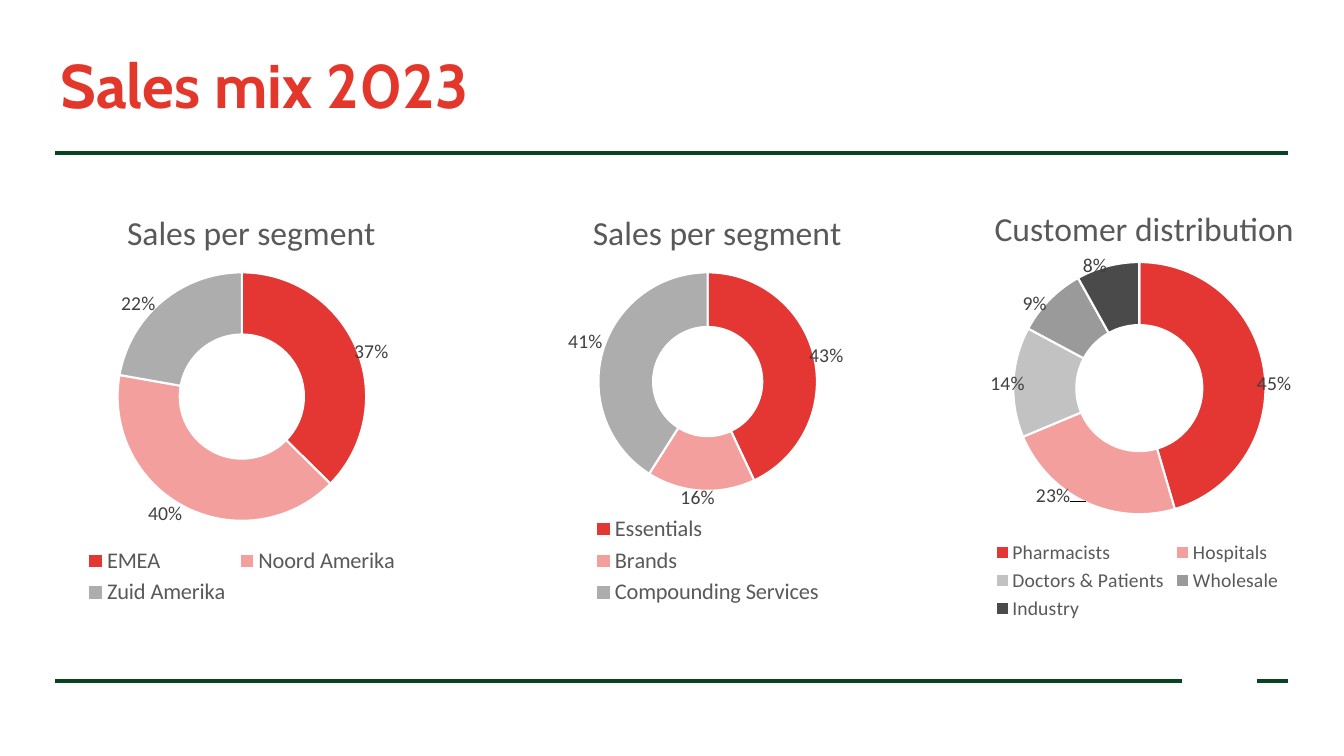
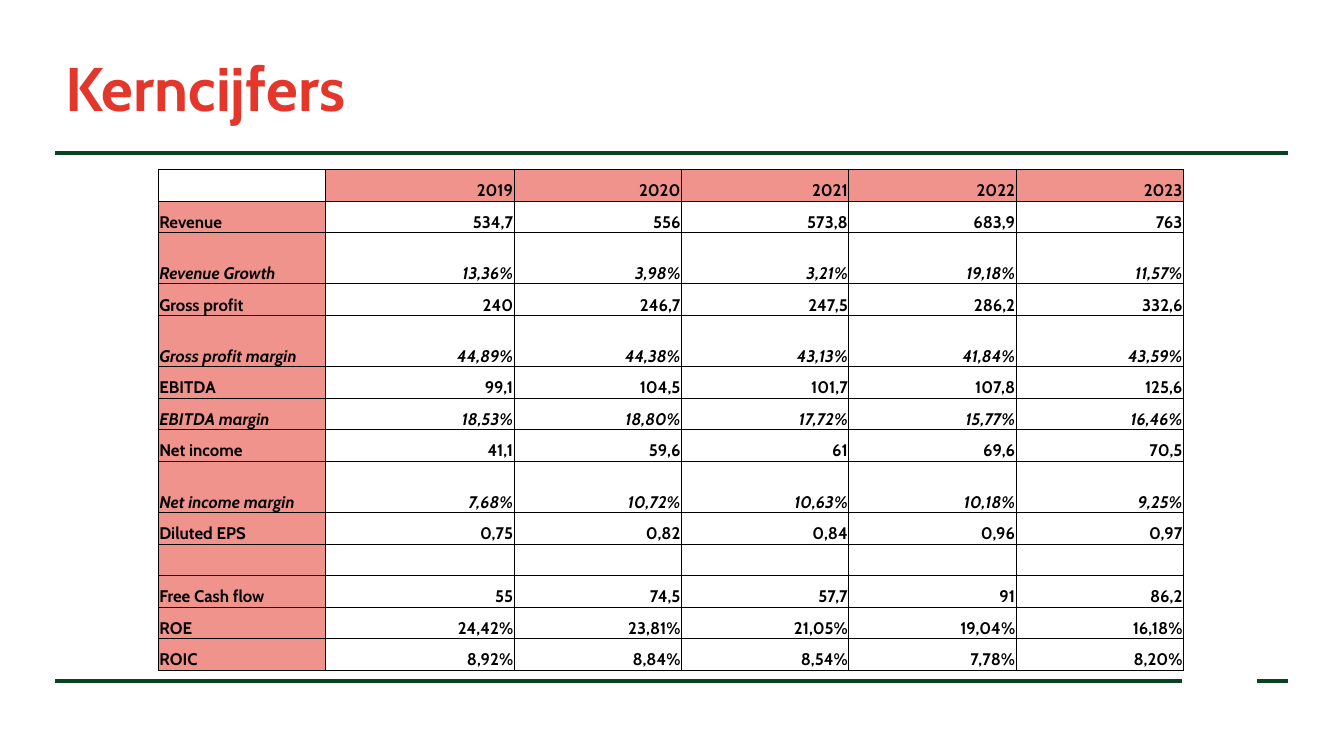
from lxml import etree
from pptx import Presentation
from pptx import util as u
from pptx.chart.data import CategoryChartData
from pptx.dml.color import RGBColor
from pptx.enum import chart as ch, shapes, text
from pptx.oxml.ns import qn

GREEN = RGBColor(0x07, 0x44, 0x22)
TITLE_RED = RGBColor(0xE3, 0x37, 0x2C)
RED = RGBColor(0xE4, 0x37, 0x33)
PINK = RGBColor(0xF2, 0x9F, 0x9D)
SILVER = RGBColor(0xAD, 0xAD, 0xAD)
PALE_GREY = RGBColor(0xC2, 0xC2, 0xC2)
MID_GREY = RGBColor(0x9A, 0x9A, 0x9A)
CHARCOAL = RGBColor(0x4A, 0x4A, 0x4A)
CAPTION_GREY = RGBColor(0x59, 0x59, 0x59)
LABEL_GREY = RGBColor(0x40, 0x40, 0x40)
SALMON = RGBColor(0xF0, 0x93, 0x8C)
BLACK = RGBColor(0, 0, 0)
WHITE = RGBColor(0xFF, 0xFF, 0xFF)

deck = Presentation()
deck.slide_width, deck.slide_height = u.Inches(13.33), u.Inches(7.5)
COL, ROW = deck.slide_width / 100, deck.slide_height / 100
title_only = deck.slide_layouts[5]


def write(frame, words, size=12, font="Cabin", color=BLACK, bold=False,
          italic=False, align=text.PP_ALIGN.LEFT, spacing=None):
    paragraph = frame.paragraphs[0]
    paragraph.alignment = align
    paragraph.line_spacing = spacing
    if words:
        run = paragraph.add_run()
        run.text = words
        run.font.size, run.font.name = u.Pt(size), font
        run.font.bold, run.font.italic = bold, italic
        run.font.color.rgb = color


def place(parent, index, **shares):
    for old in parent.findall(qn("c:layout")):
        parent.remove(old)
    layout = etree.Element(qn("c:layout"))
    manual = etree.SubElement(layout, qn("c:manualLayout"))
    for tag, value in shares.items():
        etree.SubElement(manual, qn("c:" + tag), val=str(value))
    parent.insert(index, layout)


titles = [("Sales mix 2023", 3.75, 89.5, 16.27), ("Kerncijfers", 4.13, 89.12, 16.93)]
pages = []
for words, left, width, height in titles:
    page = deck.slides.add_slide(title_only)
    title = page.shapes.title
    title.left, title.top = round(left * COL), round(3.6 * ROW)
    title.width, title.height = round(width * COL), round(height * ROW)
    title.text_frame.vertical_anchor = text.MSO_ANCHOR.MIDDLE
    write(title.text_frame, words, size=44, color=TITLE_RED, bold=True, spacing=0.9)
    pages.append(page)
sales_page, figures_page = pages

for start, end, level in [(4.13, 95.87, 20.27), (4.13, 87.92, 90.13), (93.55, 95.87, 90.13)]:
    rule = sales_page.shapes.add_connector(
        shapes.MSO_CONNECTOR.STRAIGHT, round(start * COL), round(level * ROW),
        round(end * COL), round(level * ROW))
    rule.line.color.rgb, rule.line.width = GREEN, u.Pt(3)
    etree.SubElement(rule.element.find(qn("p:spPr")), qn("a:effectLst"))
    title_only.shapes.element.append(rule.element)

THREE = [RED, PINK, SILVER]
FIVE = [RED, PINK, PALE_GREY, MID_GREY, CHARCOAL]
mixes = [
    dict(caption="Sales per segment", box=(0, 36, 56.67), legend=16, colors=THREE,
         caption_at=(0.25, 0.05), ring=(0.24, 0.21, 0.52, 0.58),
         parts=[("EMEA", 0.37, 0.09, -0.02), ("Noord Amerika", 0.4, -0.07, 0.08),
                ("Zuid Amerika", 0.22, -0.09, -0.05)]),
    dict(caption="Sales per segment", box=(34.66, 36, 56.67), legend=16, colors=THREE,
         caption_at=(0.25, 0.05), ring=(0.27, 0.21, 0.46, 0.51),
         parts=[("Essentials", 0.43, 0.08, -0.02), ("Brands", 0.16, -0.01, 0.08),
                ("Compounding Services", 0.41, -0.09, -0.04)]),
    dict(caption="Customer distribution", box=(69.24, 30.76, 58.53), legend=14, colors=FIVE,
         caption_at=(0.14, 0.04), ring=(0.2, 0.18, 0.61, 0.57),
         parts=[("Pharmacists", 0.45, 0.1, 0.02), ("Hospitals", 0.23, -0.11, 0.05),
                ("Doctors & Patients", 0.14, -0.09, 0), ("Wholesale", 0.09, -0.09, -0.04),
                ("Industry", 0.08, -0.05, -0.07)]),
]
for mix in mixes:
    left, width, height = mix["box"]
    data = CategoryChartData(number_format="0%")
    data.categories = [part[0] for part in mix["parts"]]
    data.add_series("Series 1", [part[1] for part in mix["parts"]])
    chart = sales_page.shapes.add_chart(
        ch.XL_CHART_TYPE.DOUGHNUT, round(left * COL), round(24.13 * ROW),
        round(width * COL), round(height * ROW), data).chart
    chart.font.size, chart.font.name = u.Pt(10), "Calibri"
    chart.font.color.rgb = BLACK
    chart.has_title = True
    write(chart.chart_title.text_frame, mix["caption"], size=24, font="Calibri",
          color=CAPTION_GREY, align=text.PP_ALIGN.CENTER)
    chart.has_legend = True
    chart.legend.position = ch.XL_LEGEND_POSITION.BOTTOM
    chart.legend.include_in_layout = False
    chart.legend.font.size, chart.legend.font.name = u.Pt(mix["legend"]), "Calibri"
    chart.legend.font.color.rgb = CAPTION_GREY
    chart.plots[0].vary_by_categories = True
    series = chart.plots[0].series[0]
    labels = series.data_labels
    labels.show_value = True
    labels.number_format, labels.number_format_is_linked = "0%", False
    fonts = [labels.font]
    for index, color in enumerate(mix["colors"]):
        slice_ = series.points[index]
        slice_.format.fill.solid()
        slice_.format.fill.fore_color.rgb = color
        slice_.format.line.color.rgb = WHITE
        slice_.format.line.width = u.Pt(1.5)
        fonts.append(slice_.data_label.font)
    for font in fonts:
        font.size, font.name = u.Pt(14), "Calibri"
        font.color.rgb = LABEL_GREY
    root = chart.element
    for label, part in zip(root.xpath(".//c:dLbl"), mix["parts"]):
        place(label, 1, x=part[2], y=part[3])
    x, y = mix["caption_at"]
    place(root.xpath(".//c:title")[0], 1, xMode="edge", yMode="edge", x=x, y=y)
    x, y, w, h = mix["ring"]
    place(root.xpath(".//c:plotArea")[0], 0, layoutTarget="inner",
          xMode="edge", yMode="edge", x=x, y=y, w=w, h=h)
    root.xpath(".//c:holeSize")[0].set("val", "75")

figures = [
    ("", "2019", "2020", "2021", "2022", "2023"),
    ("Revenue", "534,7", "556", "573,8", "683,9", "763"),
    ("Revenue Growth", "13,36%", "3,98%", "3,21%", "19,18%", "11,57%"),
    ("Gross profit", "240", "246,7", "247,5", "286,2", "332,6"),
    ("Gross profit margin", "44,89%", "44,38%", "43,13%", "41,84%", "43,59%"),
    ("EBITDA", "99,1", "104,5", "101,7", "107,8", "125,6"),
    ("EBITDA margin", "18,53%", "18,80%", "17,72%", "15,77%", "16,46%"),
    ("Net income", "41,1", "59,6", "61", "69,6", "70,5"),
    ("Net income margin", "7,68%", "10,72%", "10,63%", "10,18%", "9,25%"),
    ("Diluted EPS", "0,75", "0,82", "0,84", "0,96", "0,97"),
    ("",) * 6,
    ("Free Cash flow", "55", "74,5", "57,7", "91", "86,2"),
    ("ROE", "24,42%", "23,81%", "21,05%", "19,04%", "16,18%"),
    ("ROIC", "8,92%", "8,84%", "8,54%", "7,78%", "8,20%"),
]
TALL = ("Revenue Growth", "Gross profit margin", "Net income margin")
holder = figures_page.shapes.add_table(
    len(figures), len(figures[0]), round(11.78 * COL), round(22.4 * ROW),
    round(76.3 * COL), round(65.9 * ROW))
table = holder.table
table.first_row = table.horz_banding = False
for index, column in enumerate(table.columns):
    column.width = round((14.03 if index == 1 else 12.45) * COL)
for r, entries in enumerate(figures):
    measure = entries[0]
    table.rows[r].height = round((6.8 if measure in TALL else 4.17) * ROW)
    for c, entry in enumerate(entries):
        cell = table.cell(r, c)
        cell.margin_left = cell.margin_right = cell.margin_top = u.Inches(0.01)
        cell.margin_bottom = 0
        cell.vertical_anchor = text.MSO_ANCHOR.BOTTOM
        cell.fill.solid()
        cell.fill.fore_color.rgb = SALMON if (r == 0) != (c == 0) else WHITE
        write(cell.text_frame, entry, bold=True,
              italic=measure.endswith(("Growth", "margin")),
              align=text.PP_ALIGN.RIGHT if c else text.PP_ALIGN.LEFT)
for blank in holder.element.xpath(".//a:p[not(a:r)]"):
    etree.SubElement(blank, qn("a:endParaRPr"), sz="1200")
for properties in holder.element.xpath(".//a:tcPr"):
    for index, side in enumerate(("lnL", "lnR", "lnT", "lnB")):
        border = etree.Element(qn("a:" + side), w=str(u.Pt(0.5)))
        fill = etree.SubElement(border, qn("a:solidFill"))
        etree.SubElement(fill, qn("a:srgbClr"), val=str(BLACK))
        properties.insert(index, border)

deck.save("out.pptx")
